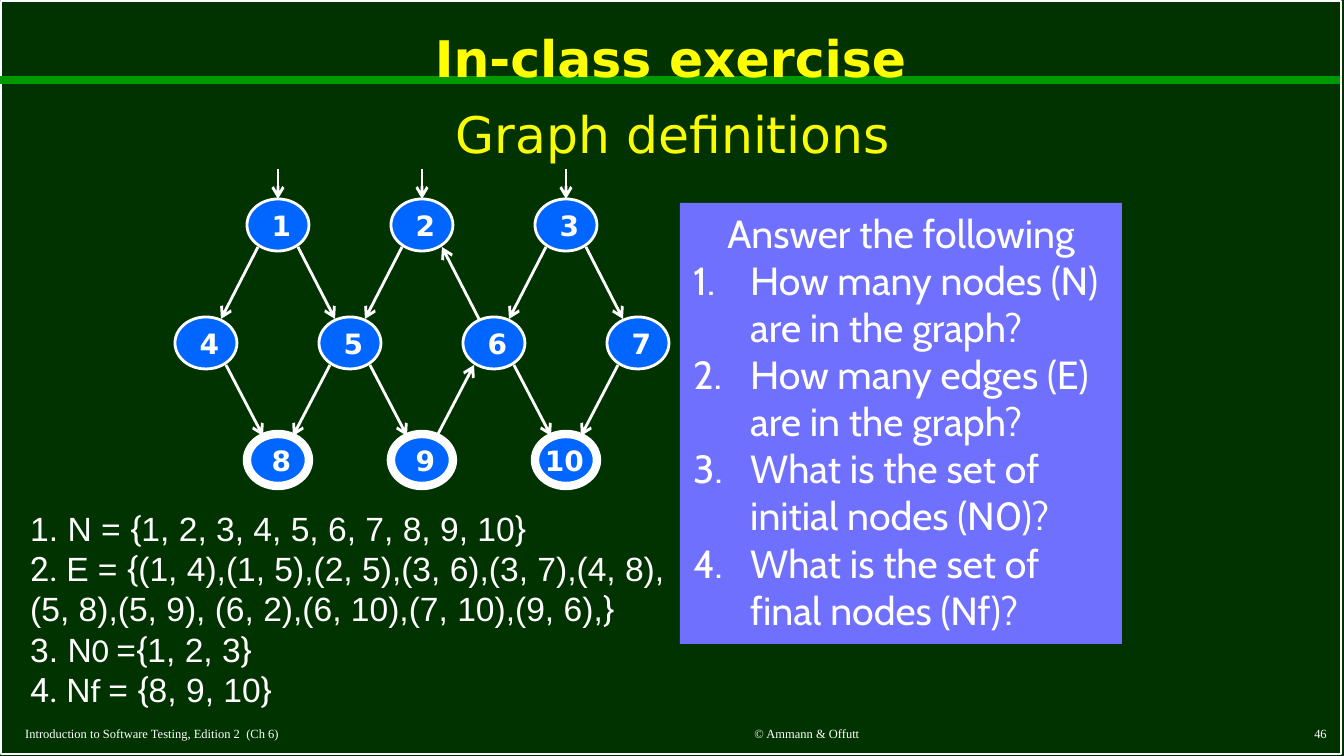
from dataclasses import dataclass

from lxml.etree import SubElement
from pptx import Presentation
from pptx.dml.color import RGBColor
from pptx.enum.shapes import MSO_CONNECTOR, MSO_SHAPE
from pptx.enum.text import MSO_ANCHOR, PP_ALIGN
from pptx.oxml.ns import qn
from pptx.util import Emu, Pt

EMU_PER_PX = 914400 / 134.4
WIDTH, HEIGHT = 1344, 756
WHITE, BLUE, GREEN = "FFFFFF", "0066FF", "009900"

NODE_WIDTH, NODE_HEIGHT = 62, 52
COLUMN_STEP = 72
ROW_CENTERS = (225, 343, 460)
# Where edges meet a node, measured from its center.
BELOW_X, BELOW_Y = 20, 22
ABOVE_X, ABOVE_Y = 15, 24
ENTRY_TOP = 169

QUESTIONS = (
    "How many nodes (N) are in the graph?",
    "How many edges (E) are in the graph?",
    "What is the set of initial nodes (N0)?",
    "What is the set of final nodes (Nf)?",
)
# Paragraphs of lines; each line is a series of (text, font) pieces.
ANSWERS = (
    (
        (("1. N = ", "Arial"), ("{", "Roboto"),
         ("1, 2, 3, 4, 5, 6, 7, 8, 9, 10", "Arial"), ("}", "Roboto")),
        (("2. ", "Roboto"), ("E = ", "Arial"), ("{", "Roboto"),
         ("(1, 4),(1, 5),(2, 5),(3, 6),(3, 7),(4, 8),(5, 8),(5, 9), "
          "(6, 2),(6, 10),(7, 10),(9, 6),", "Arial"), ("}", "Roboto")),
    ),
    (
        (("3. N", "Arial"), ("0 ", "Calibri"), ("=", "Arial"), ("{", "Roboto"),
         ("1, 2, 3", "Arial"), ("}", "Roboto")),
        (("4. ", "Roboto"), ("N", "Arial"), ("f ", "Calibri"), ("= ", "Arial"),
         ("{", "Roboto"), ("8, 9, 10", "Arial"), ("}", "Roboto")),
    ),
)


@dataclass(frozen=True)
class Node:
    number: int
    column: int
    row: int

    @property
    def x(self) -> int:
        return 206 + self.column * COLUMN_STEP

    @property
    def y(self) -> int:
        return ROW_CENTERS[self.row]

    @property
    def initial(self) -> bool:
        return self.row == 0

    @property
    def final(self) -> bool:
        return self.row == 2


@dataclass(frozen=True)
class Label:
    text: str
    box: tuple
    align: PP_ALIGN
    anchor: MSO_ANCHOR
    font: dict
    color: str = WHITE
    line_spacing: float = 1.0


NODES = {node.number: node for node in (
    Node(1, 1, 0), Node(2, 3, 0), Node(3, 5, 0),
    Node(4, 0, 1), Node(5, 2, 1), Node(6, 4, 1), Node(7, 6, 1),
    Node(8, 1, 2), Node(9, 3, 2), Node(10, 5, 2),
)}
EDGES = ((1, 4), (1, 5), (2, 5), (3, 6), (3, 7), (4, 8),
         (5, 8), (5, 9), (6, 2), (6, 10), (7, 10), (9, 6))

TITLE_FONT = {"name": "DejaVu Sans", "size": Pt(27), "bold": True}
SUBTITLE_FONT = {"name": "DejaVu Sans", "size": Pt(27)}
NODE_FONT = {"name": "DejaVu Sans", "size": Pt(15), "bold": True}
FOOTER_FONT = {"name": "Times New Roman", "size": Pt(6.75)}
QUESTION_FONT = {"name": "Cabin", "size": Pt(21)}

LABELS = (
    Label("In-class exercise", (12, 11, 1317, 101), PP_ALIGN.CENTER,
          MSO_ANCHOR.MIDDLE, TITLE_FONT, "FFFF00", 0.9),
    Label("Graph definitions", (441, 96, 464, 75), PP_ALIGN.CENTER,
          MSO_ANCHOR.TOP, SUBTITLE_FONT, "FAFD00"),
    Label("Introduction to Software Testing, Edition 2  (Ch 6)",
          (12, 718, 554, 30), PP_ALIGN.LEFT, MSO_ANCHOR.BOTTOM, FOOTER_FONT),
    Label("© Ammann & Offutt", (594, 717, 426, 31), PP_ALIGN.CENTER,
          MSO_ANCHOR.BOTTOM, FOOTER_FONT),
    Label("46", (1060, 716, 280, 32), PP_ALIGN.RIGHT, MSO_ANCHOR.BOTTOM,
          FOOTER_FONT),
)


def px(*lengths: int) -> list:
    return [Emu(round(length * EMU_PER_PX)) for length in lengths]


def rgb(color: str) -> RGBColor:
    return RGBColor.from_string(color)


def add_run(paragraph, text: str, font: dict, color: str = WHITE) -> None:
    run = paragraph.add_run()
    run.text = text
    for name, value in font.items():
        setattr(run.font, name, value)
    run.font.color.rgb = rgb(color)


def add_label(slide, label: Label) -> None:
    frame = slide.shapes.add_textbox(*px(*label.box)).text_frame
    frame.word_wrap = True
    frame.vertical_anchor = label.anchor
    paragraph = frame.paragraphs[0]
    paragraph.alignment = label.align
    paragraph.line_spacing = label.line_spacing
    add_run(paragraph, label.text, label.font, label.color)


def add_shape(slide, kind, box: tuple, fill: str = "", line_width: float = 0):
    """Add a preset shape; an empty fill or zero line width means none."""
    shape = slide.shapes.add_shape(kind, *px(*box))
    shape.shadow.inherit = False
    if fill:
        shape.fill.solid()
        shape.fill.fore_color.rgb = rgb(fill)
    else:
        shape.fill.background()
    if line_width:
        shape.line.color.rgb = rgb(WHITE)
        shape.line.width = Pt(line_width)
    else:
        shape.line.fill.background()
    return shape


def add_line(slide, start: tuple, end: tuple, color: str = WHITE,
             width: float = 1.5, arrow: bool = True):
    line = slide.shapes.add_connector(MSO_CONNECTOR.STRAIGHT, *px(*start, *end))
    line.line.color.rgb = rgb(color)
    line.line.width = Pt(width)
    if arrow:
        SubElement(line.line._get_or_add_ln(), qn("a:tailEnd"), type="arrow")
    SubElement(line._element.spPr, qn("a:effectLst"))
    return line


def edge_point(node: Node, other: Node) -> tuple:
    """Point near the rim of node on the side that faces other."""
    side = 1 if other.x > node.x else -1
    if other.y > node.y:
        return node.x + side * BELOW_X, node.y + BELOW_Y
    return node.x + side * ABOVE_X, node.y - ABOVE_Y


def add_node(slide, node: Node) -> None:
    box = (node.x - NODE_WIDTH // 2, node.y - NODE_HEIGHT // 2,
           NODE_WIDTH, NODE_HEIGHT)
    ellipse = add_shape(slide, MSO_SHAPE.OVAL, box, BLUE,
                        4.5 if node.final else 1.5)
    if node.initial:
        entry = add_line(slide, (node.x, ENTRY_TOP), (node.x, box[1]))
        entry.end_connect(ellipse, 0)
    text = str(node.number)
    width = 47 if len(text) == 1 else 67
    center = node.x + (3 if len(text) == 1 else -2)
    add_label(slide, Label(text, (center - width // 2, node.y - 23, width, 47),
                           PP_ALIGN.CENTER, MSO_ANCHOR.MIDDLE, NODE_FONT))


def add_questions(slide) -> None:
    panel = add_shape(slide, MSO_SHAPE.RECTANGLE, (680, 203, 442, 441), "7070FF")
    frame = panel.text_frame
    frame.word_wrap = True
    frame.vertical_anchor = MSO_ANCHOR.TOP
    heading = frame.paragraphs[0]
    heading.alignment = PP_ALIGN.CENTER
    add_run(heading, "Answer the following", QUESTION_FONT)
    indent = px(57)[0]
    for question in QUESTIONS:
        paragraph = frame.add_paragraph()
        paragraph.alignment = PP_ALIGN.LEFT
        properties = paragraph._p.get_or_add_pPr()
        properties.set("marL", str(indent))
        properties.set("indent", str(-indent))
        SubElement(properties, qn("a:buFont"), typeface="Cabin")
        SubElement(properties, qn("a:buAutoNum"), type="arabicPeriod")
        add_run(paragraph, question, QUESTION_FONT)


def add_answers(slide) -> None:
    frame = slide.shapes.add_textbox(*px(17, 501, 673, 215)).text_frame
    frame.word_wrap = True
    for index, lines in enumerate(ANSWERS):
        paragraph = frame.add_paragraph() if index else frame.paragraphs[0]
        for line_index, pieces in enumerate(lines):
            if line_index:
                paragraph.add_line_break()
            for text, font in pieces:
                add_run(paragraph, text, {"name": font, "size": Pt(18)})


def main() -> None:
    presentation = Presentation()
    presentation.slide_width, presentation.slide_height = px(WIDTH, HEIGHT)
    slide = presentation.slides.add_slide(presentation.slide_layouts[6])
    slide.background.fill.solid()
    slide.background.fill.fore_color.rgb = rgb("003300")

    add_shape(slide, MSO_SHAPE.RECTANGLE, (1, 1, 1340, 753), line_width=1)
    add_line(slide, (0, 80), (1340, 80), GREEN, 4.5, arrow=False)
    for label in LABELS:
        add_label(slide, label)
    add_questions(slide)
    for source, target in ((NODES[a], NODES[b]) for a, b in EDGES):
        add_line(slide, edge_point(source, target), edge_point(target, source))
    for node in NODES.values():
        add_node(slide, node)
    add_answers(slide)
    presentation.save("out.pptx")


if __name__ == "__main__":
    main()
